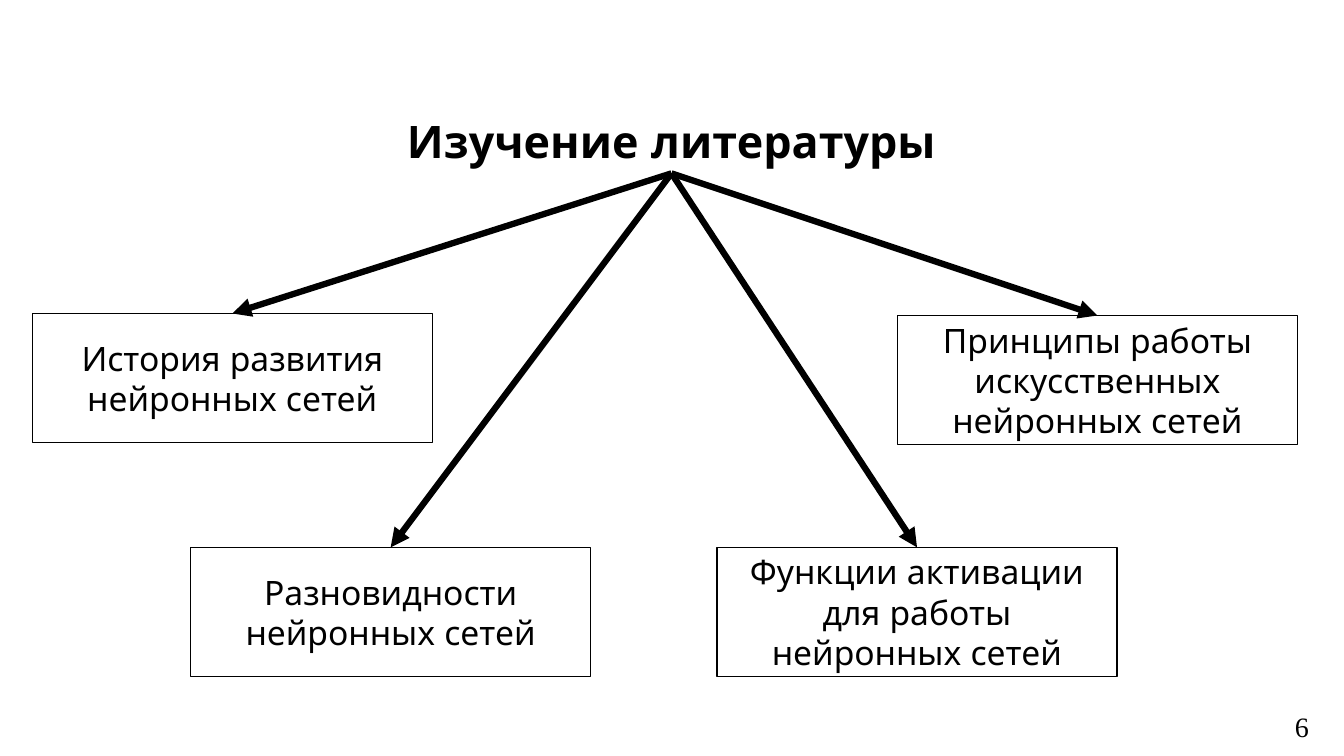
from dataclasses import dataclass

from lxml import etree
from pptx import Presentation
from pptx import util as u
from pptx.dml.color import RGBColor
from pptx.enum import shapes, text
from pptx.oxml import ns


@dataclass(frozen=True)
class Theme:
    ink = RGBColor(0, 0, 0)
    paper = RGBColor(255, 255, 255)
    title = {"name": "Quicksand", "size": u.Pt(32), "bold": True}
    body = {"name": "Quicksand", "size": u.Pt(24), "bold": False}
    number = {"name": "Times New Roman", "size": u.Pt(20), "bold": False}
    border = u.Pt(1)
    arrow = u.Pt(4.5)


THEME = Theme()
BOTTOM, TOP = 2, 0
TOPIC_WIDTH, TOPIC_HEIGHT = 3.97, 1.28
TOPICS = [
    (1.89, 5.43, "Разновидности нейронных сетей"),
    (7.11, 5.43, "Функции активации для работы нейронных сетей"),
    (0.32, 3.11, "История развития нейронных сетей"),
    (8.9, 3.13, "Принципы работы искусственных нейронных сетей"),
]


def write_text(shape, wording, font_format, alignment):
    frame = shape.text_frame
    frame.text = wording
    frame_format = {
        "word_wrap": True,
        "auto_size": text.MSO_AUTO_SIZE.NONE,
        "vertical_anchor": text.MSO_ANCHOR.MIDDLE,
    }
    for name, value in frame_format.items():
        setattr(frame, name, value)
    paragraph = frame.paragraphs[0]
    paragraph.alignment = alignment
    font = paragraph.runs[0].font
    for name, value in font_format.items():
        setattr(font, name, value)
    font.color.rgb = THEME.ink
    return paragraph


def place_title(slide, box, wording):
    title = slide.shapes.title
    for name, length in zip(("left", "top", "width", "height"), box):
        setattr(title, name, u.Inches(length))
    paragraph = write_text(title, wording, THEME.title, text.PP_ALIGN.CENTER)
    paragraph.line_spacing = 0.9
    return title


def add_topic(slide, box, wording):
    topic = slide.shapes.add_shape(
        shapes.MSO_SHAPE.RECTANGLE, *(u.Inches(length) for length in box)
    )
    topic.shadow.inherit = False
    topic.fill.solid()
    topic.fill.fore_color.rgb = THEME.paper
    topic.line.color.rgb = THEME.ink
    topic.line.width = THEME.border
    write_text(topic, wording, THEME.body, text.PP_ALIGN.CENTER)
    return topic


def add_arrow(slide, source, target):
    arrow = slide.shapes.add_connector(shapes.MSO_CONNECTOR.STRAIGHT, 0, 0, 0, 0)
    arrow.begin_connect(source, BOTTOM)
    arrow.end_connect(target, TOP)
    arrow.line.color.rgb = THEME.ink
    arrow.line.width = THEME.arrow
    line = arrow.line._get_or_add_ln()
    etree.SubElement(line, ns.qn("a:tailEnd"), type="triangle")
    etree.SubElement(arrow._element.spPr, ns.qn("a:effectLst"))


def add_page_number(slide, box, number):
    page_number = slide.shapes.add_textbox(*(u.Inches(length) for length in box))
    write_text(page_number, str(number), THEME.number, text.PP_ALIGN.RIGHT)


def build_topic_slide(presentation):
    slide = presentation.slides.add_slide(presentation.slide_layouts[5])
    title = place_title(slide, (1.18, 1.14, 10.96, 0.58), "Изучение литературы")
    add_page_number(slide, (10.08, 7.01, 3, 0.4), 6)
    topics = [
        add_topic(slide, (left, top, TOPIC_WIDTH, TOPIC_HEIGHT), wording)
        for left, top, wording in TOPICS
    ]
    for topic in reversed(topics):
        add_arrow(slide, title, topic)


def main():
    presentation = Presentation()
    presentation.slide_width = u.Inches(13.33)
    presentation.slide_height = u.Inches(7.5)
    build_topic_slide(presentation)
    presentation.save("out.pptx")


if __name__ == "__main__":
    main()
